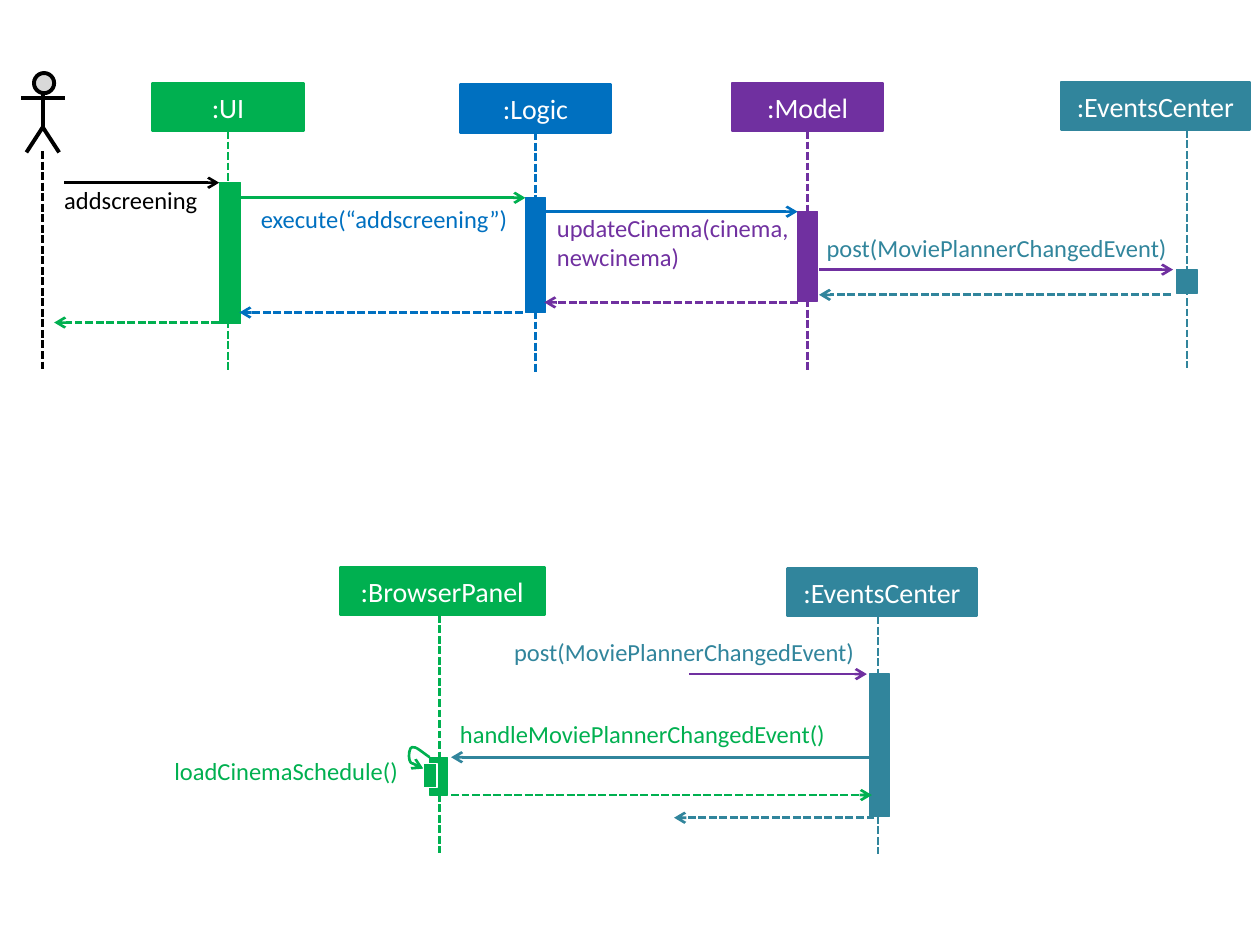
"""Build a slide with two UML sequence diagrams for adding a screening."""
from lxml.etree import SubElement
from pptx import Presentation
from pptx.dml.color import RGBColor
from pptx.enum.dml import MSO_LINE
from pptx.enum.shapes import MSO_CONNECTOR, MSO_SHAPE
from pptx.enum.text import MSO_ANCHOR, MSO_AUTO_SIZE, PP_ALIGN
from pptx.oxml.ns import qn
from pptx.util import Inches, Pt

COLORS = {"ui": "00B050", "logic": "0070C0", "model": "7030A0", "events": "31859C",
          "actor": "000000", "head": "D9D9D9", "white": "FFFFFF"}
FONT = "Calibri"
BOX_HEIGHT = 0.38

# name, color, box (left, top, width), lifeline (x, end), bar (left, top, width, height)
PARTICIPANTS = [
    (":UI", "ui", (1.21, 0.66, 1.2), (1.81, 2.95), (1.74, 1.45, 0.17, 1.12)),
    (":Logic", "logic", (3.65, 0.67, 1.2), (4.25, 2.95), (4.17, 1.57, 0.16, 0.91)),
    (":Model", "model", (5.81, 0.66, 1.2), (6.41, 2.95), (6.33, 1.68, 0.16, 0.71)),
    (":EventsCenter", "events", (8.42, 0.65, 1.5), (9.42, 2.92), (9.34, 2.14, 0.16, 0.19)),
    (":EventsCenter", "events", (6.25, 4.51, 1.5), (6.97, 6.78), (6.9, 5.35, 0.16, 1.13)),
    (":BrowserPanel", "ui", (2.7, 4.5, 1.62), (3.49, 6.77), (3.41, 6.01, 0.14, 0.3)),
]
# color, from x, to x, y
CALLS = [
    ("actor", 0.51, 1.74, 1.45),
    ("ui", 1.9, 4.17, 1.57),
    ("logic", 4.32, 6.33, 1.68),
    ("model", 6.5, 9.31, 2.14),
    ("model", 5.47, 6.88, 5.35),
    ("events", 6.92, 3.58, 6.01),
]
RETURNS = [
    ("model", 6.33, 4.32, 2.4),
    ("logic", 4.15, 1.9, 2.48),
    ("ui", 1.74, 0.43, 2.56),
    ("events", 9.29, 6.5, 2.34),
    ("events", 6.94, 5.35, 6.49),
    ("ui", 3.58, 6.92, 6.31),
]
# text, color, left, top, width, height, alignment
LABELS = [
    ("addscreening", "actor", 0.51, 1.47, 1.11, 0.24, PP_ALIGN.LEFT),
    ("execute(“addscreening”)", "logic", 2.07, 1.62, 2.08, 0.24, PP_ALIGN.LEFT),
    ("updateCinema(cinema, newcinema)", "model", 4.42, 1.69, 1.88, 0.47, PP_ALIGN.LEFT),
    ("post(MoviePlannerChangedEvent)", "events", 6.56, 1.85, 2.75, 0.24, PP_ALIGN.LEFT),
    ("post(MoviePlannerChangedEvent)", "events", 4.08, 5.06, 2.97, 0.24, PP_ALIGN.LEFT),
    ("handleMoviePlannerChangedEvent()", "ui", 3.65, 5.71, 2.91, 0.24, PP_ALIGN.LEFT),
    ("loadCinemaSchedule()", "ui", 1.22, 6, 1.94, 0.24, PP_ALIGN.RIGHT),
]
ACTOR_X = 0.34
ACTOR_LEGS = [(0.21, 1.21), (ACTOR_X, 1.01), (0.47, 1.21)]
SELF_CALL = [(3.36, 6.1), (3.31, 6.08), (3.26, 6.06), (3.25, 6.03),
             (3.24, 6), (3.25, 5.93), (3.27, 5.93)]
SELF_CALL += [(3.3, 5.92), (3.35, 5.97), (3.41, 6.01)]


def rgb(name):
    return RGBColor.from_string(COLORS[name])


def style_line(sp, color, width):
    sp.line.color.rgb = rgb(color)
    sp.line.width = Pt(width)


def add_arrowhead(sp, end):
    ln = sp._element.spPr.find(qn("a:ln"))
    SubElement(ln, qn(f"a:{end}End"), type="arrow")


def add_line(shapes, start, end, color, width=1.5, dashed=False, arrow=False):
    c = shapes.add_connector(MSO_CONNECTOR.STRAIGHT, *map(Inches, start + end))
    style_line(c, color, width)
    if dashed:
        c.line.dash_style = MSO_LINE.SQUARE_DOT
    if arrow:
        add_arrowhead(c, "tail")
    SubElement(c._element.spPr, qn("a:effectLst"))
    return c


def add_block(shapes, kind, bounds, fill, line, width):
    sp = shapes.add_shape(kind, *map(Inches, bounds))
    sp.shadow.inherit = False
    sp.fill.solid()
    sp.fill.fore_color.rgb = rgb(fill)
    style_line(sp, line, width)
    return sp


def add_outline(shapes, points, color, width):
    pts = [(Inches(x), Inches(y)) for x, y in points]
    builder = shapes.build_freeform(*pts[0])
    builder.add_line_segments(pts[1:], close=False)
    sp = builder.convert_to_shape()
    sp.shadow.inherit = False
    sp.fill.background()
    style_line(sp, color, width)
    return sp


def curve_outline(sp):
    geometry = sp._element.find(".//" + qn("a:path"))
    segments = geometry.findall(qn("a:lnTo"))
    for i in range(0, len(segments), 3):
        curve = SubElement(geometry, qn("a:cubicBezTo"))
        for segment in segments[i:i + 3]:
            curve.append(segment[0])
            geometry.remove(segment)


def write(tf, text, size, color, align):
    p = tf.paragraphs[0]
    p.text = text
    p.alignment = align
    p.font.name = FONT
    p.font.size = Pt(size)
    p.font.color.rgb = rgb(color)


def add_participant(shapes, name, color, box, lifeline, bar):
    left, top, width = box
    x, end = lifeline
    bottom = top + BOX_HEIGHT
    sp = add_block(shapes, MSO_SHAPE.RECTANGLE, (*box, BOX_HEIGHT), color, color, 1.5)
    sp.text_frame.vertical_anchor = MSO_ANCHOR.MIDDLE
    write(sp.text_frame, name, 16, "white", PP_ALIGN.CENTER)
    c = add_line(shapes, (x, bottom), (x, end), color, dashed=True)
    if abs(left + width / 2 - x) < 0.005:
        c.begin_connect(sp, 2)
    add_block(shapes, MSO_SHAPE.RECTANGLE, bar, color, color, 0.75)


def add_label(shapes, text, color, left, top, width, height, align):
    tf = shapes.add_textbox(*map(Inches, (left, top, width, height))).text_frame
    tf.margin_left = tf.margin_right = tf.margin_top = tf.margin_bottom = 0
    tf.word_wrap = True
    tf.auto_size = MSO_AUTO_SIZE.SHAPE_TO_FIT_TEXT
    write(tf, text, 14, color, align)


def add_actor(shapes):
    body = shapes.add_group_shape().shapes
    add_block(body, MSO_SHAPE.FLOWCHART_CONNECTOR, (0.27, 0.58, 0.16, 0.16),
              "head", "actor", 2.25)
    add_line(body, (ACTOR_X, 0.74), (ACTOR_X, 1.02), "actor", 2.25)
    add_outline(body, ACTOR_LEGS, "actor", 2.25)
    add_line(body, (0.17, 0.78), (0.52, 0.78), "actor", 2.25)
    add_line(shapes, (ACTOR_X, 1.2), (ACTOR_X, 2.95), "actor", dashed=True)


def add_self_call(shapes):
    group = shapes.add_group_shape().shapes
    loop = add_outline(group, SELF_CALL, "ui", 1.5)
    curve_outline(loop)
    add_arrowhead(loop, "head")
    add_block(group, MSO_SHAPE.RECTANGLE, (3.36, 6.06, 0.11, 0.19), "ui", "white", 0.75)


def main():
    prs = Presentation()
    prs.slide_width, prs.slide_height = Inches(10), Inches(7.5)
    shapes = prs.slides.add_slide(prs.slide_layouts[6]).shapes
    add_actor(shapes)
    for participant in PARTICIPANTS:
        add_participant(shapes, *participant)
    for messages, dashed in ((CALLS, False), (RETURNS, True)):
        for color, x1, x2, y in messages:
            add_line(shapes, (x1, y), (x2, y), color, dashed=dashed, arrow=True)
    for label in LABELS:
        add_label(shapes, *label)
    add_self_call(shapes)
    prs.save("out.pptx")


if __name__ == "__main__":
    main()
